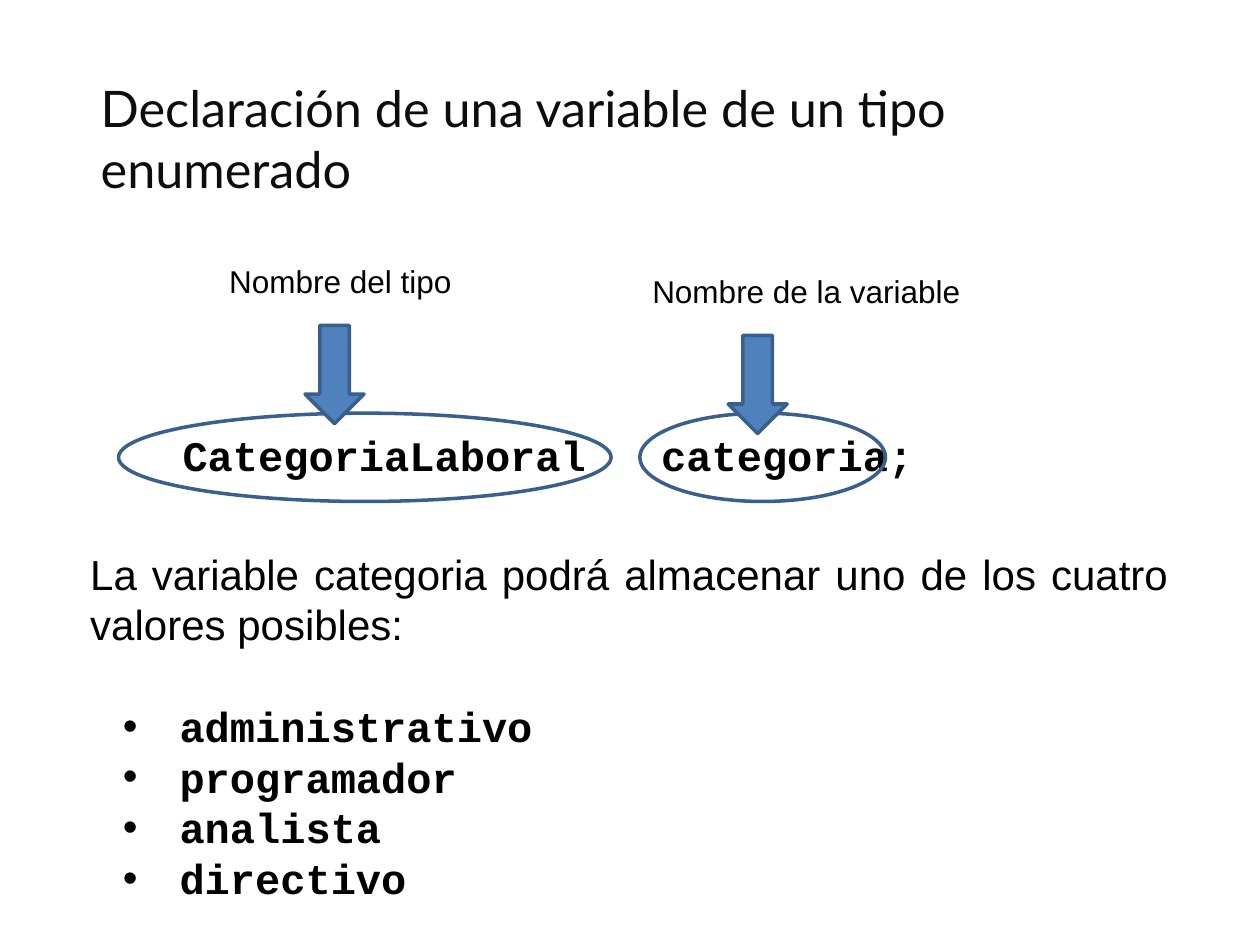
from dataclasses import dataclass

from lxml.etree import SubElement
from pptx import Presentation
from pptx.dml.color import RGBColor
from pptx.enum.shapes import MSO_SHAPE
from pptx.enum.text import MSO_ANCHOR, PP_ALIGN
from pptx.oxml.ns import qn
from pptx.util import Cm, Pt


@dataclass(frozen=True)
class Theme:
    """Colours, fonts and type sizes of the slide."""
    title_color: RGBColor = RGBColor(0x0D, 0x0D, 0x0D)
    text_color: RGBColor = RGBColor(0, 0, 0)
    arrow_fill: RGBColor = RGBColor(0x4F, 0x81, 0xBD)
    outline: RGBColor = RGBColor(0x3A, 0x5F, 0x8C)
    title_font: str = "Lato"
    body_font: str = "Arial"
    code_font: str = "Courier New"
    title_size: Pt = Pt(28.8)
    body_size: Pt = Pt(24)
    label_size: Pt = Pt(18)
    line_width: Pt = Pt(2)
    body_leading: Pt = Pt(29)


THEME = Theme()


def set_font(paragraph, name, size, color=THEME.text_color, bold=False):
    """Set the typeface, size, colour and weight of a paragraph."""
    font = paragraph.font
    font.name, font.size, font.bold = name, size, bold
    font.color.rgb = color


def add_text_frame(slide, box):
    """Add a wrapping text box and return its text frame."""
    frame = slide.shapes.add_textbox(*map(Cm, box)).text_frame
    frame.word_wrap = True
    return frame


def add_outlined_shape(slide, preset, box, fill=None):
    """Add a preset shape with the theme outline and an optional fill."""
    shape = slide.shapes.add_shape(preset, *map(Cm, box))
    shape.shadow.inherit = False
    shape.line.color.rgb = THEME.outline
    shape.line.width = THEME.line_width
    if fill is None:
        shape.fill.background()
    else:
        shape.fill.solid()
        shape.fill.fore_color.rgb = fill


def add_title(slide, box, text):
    """Place the slide title, centred vertically in its box."""
    frame = add_text_frame(slide, box)
    frame.vertical_anchor = MSO_ANCHOR.MIDDLE
    frame.margin_right = Cm(0.6)
    paragraph = frame.paragraphs[0]
    paragraph.text = text
    set_font(paragraph, THEME.title_font, THEME.title_size, THEME.title_color)


def add_declaration(slide, box, words, tab_positions):
    """Place the words of a code line at the given tab positions."""
    paragraph = add_text_frame(slide, box).paragraphs[0]
    paragraph.text = "".join(f"\t{word}" for word in words)
    tab_list = SubElement(paragraph._p.get_or_add_pPr(), qn("a:tabLst"))
    for position in tab_positions:
        SubElement(tab_list, qn("a:tab"), pos=str(Cm(position)), algn="l")
    set_font(paragraph, THEME.code_font, THEME.body_size, bold=True)


def add_callout(slide, label_box, ellipse_box, text):
    """Ring a word and point at it with an arrow below a label."""
    left, top = label_box[:2]
    add_outlined_shape(slide, MSO_SHAPE.OVAL, ellipse_box)
    arrow_box = (left + 1.78, top + 1.4, 1.19, 1.98)
    add_outlined_shape(slide, MSO_SHAPE.DOWN_ARROW, arrow_box, THEME.arrow_fill)
    paragraph = add_text_frame(slide, label_box).paragraphs[0]
    paragraph.text = text
    set_font(paragraph, THEME.body_font, THEME.label_size)


def add_values(slide, box, introduction, values):
    """Place a justified introduction and a bulleted list of code values."""
    frame = add_text_frame(slide, box)
    paragraph = frame.paragraphs[0]
    paragraph.text = introduction
    paragraph.alignment = PP_ALIGN.JUSTIFY
    paragraph.line_spacing = THEME.body_leading
    set_font(paragraph, THEME.body_font, THEME.body_size)
    for index, value in enumerate(values):
        paragraph = frame.add_paragraph()
        paragraph.text = value
        paragraph.level = 1
        paragraph.line_spacing = THEME.body_leading
        paragraph.space_before = Pt(0) if index else THEME.body_leading
        properties = paragraph._p.get_or_add_pPr()
        properties.set("marL", str(Cm(1.8)))
        properties.set("indent", str(Cm(-1.14)))
        SubElement(properties, qn("a:buFont"), typeface=THEME.body_font)
        SubElement(properties, qn("a:buChar"), char="•")
        set_font(paragraph, THEME.code_font, THEME.body_size, bold=True)


def main():
    """Build the slide and save the presentation."""
    presentation = Presentation()
    presentation.slide_width, presentation.slide_height = Cm(25.4), Cm(19.05)
    slide = presentation.slides.add_slide(presentation.slide_layouts[6])
    add_title(slide, (1.78, 1.57, 22.86, 2.41),
              "Declaración de una variable de un tipo enumerado")
    add_declaration(slide, (1.4, 8.53, 19.63, 1.27),
                    ("CategoriaLaboral", "categoria;"), (2.03, 11.68))
    add_callout(slide, (4.37, 5.16, 5.56, 1.02), (2.39, 8.33, 9.93, 1.78),
                "Nombre del tipo")
    add_callout(slide, (12.9, 5.36, 6.93, 1.02), (12.9, 8.33, 4.95, 1.78),
                "Nombre de la variable")
    add_values(slide, (1.57, 10.92, 22.23, 7.44),
               "La variable categoria podrá almacenar uno de los cuatro "
               "valores posibles:",
               ("administrativo", "programador", "analista", "directivo"))
    presentation.save("out.pptx")


if __name__ == "__main__":
    main()
